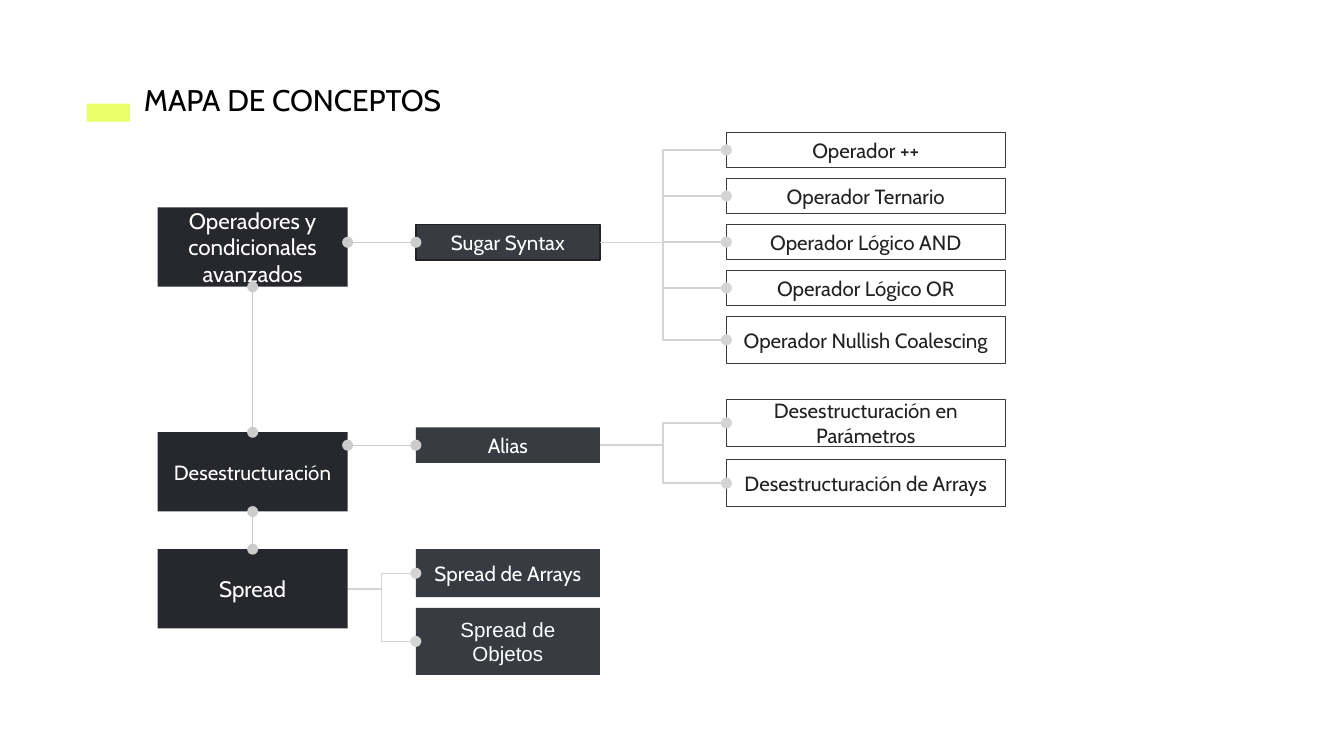
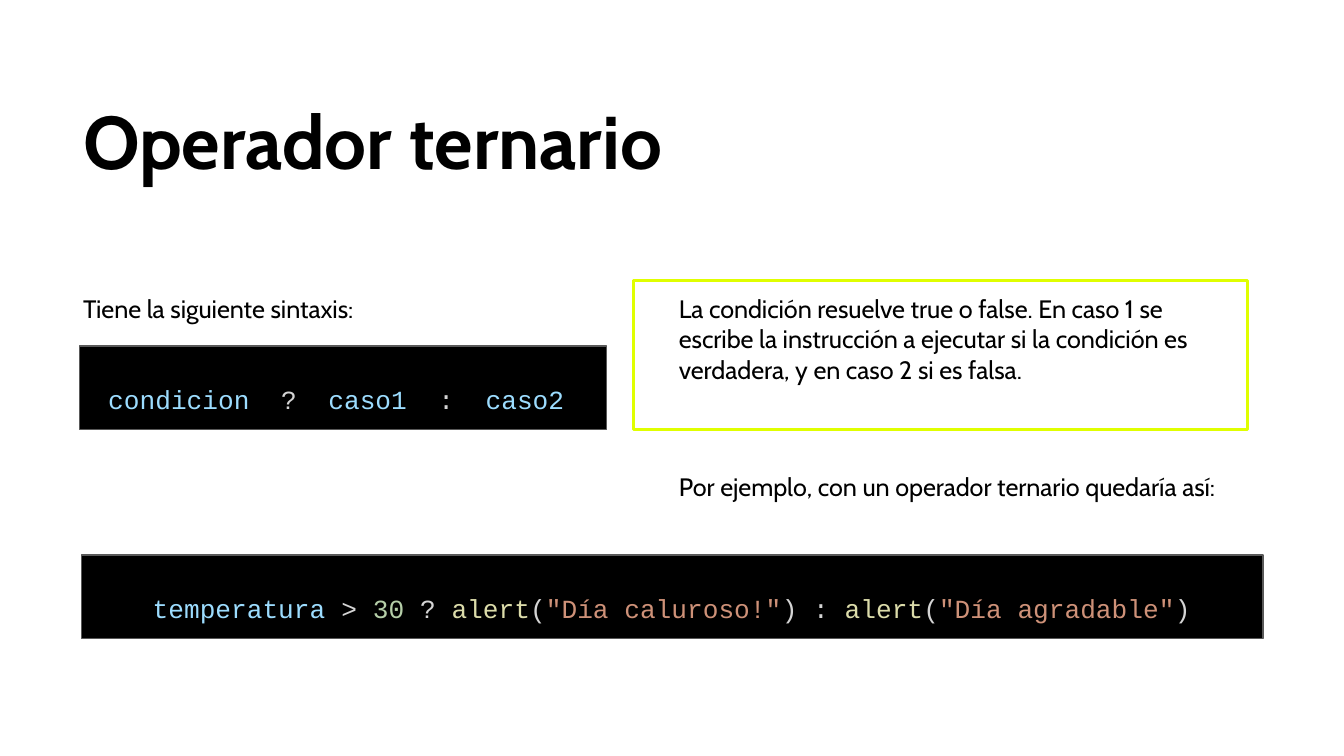
from lxml import etree
from pptx import Presentation
from pptx.dml.color import RGBColor
from pptx.enum import shapes, text
from pptx.oxml import ns
from pptx.util import Cm, Pt

BLACK = RGBColor(0x00, 0x00, 0x00)
WHITE = RGBColor(0xFF, 0xFF, 0xFF)
CHARCOAL = RGBColor(0x27, 0x28, 0x2D)
SLATE = RGBColor(0x39, 0x3B, 0x43)
INK = RGBColor(0x22, 0x22, 0x22)
LINK_GREY = RGBColor(0xCC, 0xCC, 0xCC)
BRANCH_GREY = RGBColor(0xD4, 0xD4, 0xD4)
FRAME_GREY = RGBColor(0x59, 0x59, 0x59)
LIME = RGBColor(0xEA, 0xFF, 0x6A)
NEON = RGBColor(0xE0, 0xFF, 0x00)

CODE_NAME = RGBColor(0x9C, 0xDC, 0xFE)
CODE_PLAIN = RGBColor(0xD4, 0xD4, 0xD4)
CODE_NUMBER = RGBColor(0xB5, 0xCE, 0xA8)
CODE_CALL = RGBColor(0xDC, 0xDC, 0xAA)
CODE_STRING = RGBColor(0xCE, 0x91, 0x78)

BODY_FONT = "Cabin"
CODE_FONT = "Courier New"
TOP, LEFT, BOTTOM, RIGHT = range(4)


def write(frame, content, *, size, color=BLACK, font=BODY_FONT, bold=False,
          align=text.PP_ALIGN.LEFT, anchor=text.MSO_ANCHOR.TOP,
          line_spacing=None, space_after=None):
    """Fill a text frame; content is a string or a list of (string, colour) runs."""
    frame.word_wrap = True
    frame.vertical_anchor = anchor
    frame.margin_left = frame.margin_right = Cm(0.25)
    frame.margin_top = frame.margin_bottom = Cm(0.25)
    paragraph = frame.paragraphs[0]
    paragraph.alignment = align
    paragraph.line_spacing = line_spacing
    paragraph.space_after = space_after
    runs = [(content, color)] if isinstance(content, str) else content
    for words, run_color in runs:
        run = paragraph.add_run()
        run.text = words
        run.font.name = font
        run.font.size = Pt(size)
        run.font.bold = bold
        run.font.color.rgb = run_color


class Deck:
    def __init__(self):
        self.presentation = Presentation()
        self.presentation.slide_width = Cm(25.4)
        self.presentation.slide_height = Cm(14.29)
        self.slide = None

    def new_slide(self):
        self.slide = self.presentation.slides.add_slide(
            self.presentation.slide_layouts[6])

    def text_box(self, left, top, width, height, content, **style):
        box = self.slide.shapes.add_textbox(Cm(left), Cm(top), Cm(width), Cm(height))
        write(box.text_frame, content, **style)
        box.text_frame.auto_size = text.MSO_AUTO_SIZE.SHAPE_TO_FIT_TEXT

    def rectangle(self, left, top, width, height, fill=None, line=None, weight=0.75):
        shape = self.slide.shapes.add_shape(
            shapes.MSO_SHAPE.RECTANGLE, Cm(left), Cm(top), Cm(width), Cm(height))
        shape.shadow.inherit = False
        if fill is None:
            shape.fill.background()
        else:
            shape.fill.solid()
            shape.fill.fore_color.rgb = fill
        if line is None:
            shape.line.fill.background()
        else:
            shape.line.color.rgb = line
            shape.line.width = Pt(weight)
        return shape

    def concept(self, left, top, width, height, label, fill, line=None,
                color=WHITE, size=11, font=BODY_FONT):
        shape = self.rectangle(left, top, width, height, fill, line)
        write(shape.text_frame, label, size=size, color=color, font=font,
              align=text.PP_ALIGN.CENTER, anchor=text.MSO_ANCHOR.MIDDLE)
        return shape

    def connector(self, kind, start, end, color, ends):
        """Draw a connector with oval tips at the named ends (headEnd, tailEnd)."""
        connector = self.slide.shapes.add_connector(kind, *start, *end)
        connector.line.color.rgb = color
        connector.line.width = Pt(0.75)
        for name in ends:
            etree.SubElement(connector.line._get_or_add_ln(), ns.qn(f"a:{name}"),
                             type="oval")
        etree.SubElement(connector._element.spPr, ns.qn("a:effectLst"))
        return connector

    def link(self, start, end):
        return self.connector(shapes.MSO_CONNECTOR.STRAIGHT, start, end, LINK_GREY,
                              ("headEnd", "tailEnd"))

    def link_down(self, upper, lower):
        center = upper.left + upper.width // 2
        connector = self.link((center, upper.top + upper.height), (center, lower.top))
        connector.begin_connect(upper, BOTTOM)
        connector.end_connect(lower, TOP)

    def link_across(self, parent, child):
        """Run level with the child, wherever that meets the parent's side."""
        middle = child.top + child.height // 2
        connector = self.link((parent.left + parent.width, middle), (child.left, middle))
        connector.end_connect(child, LEFT)

    def branch(self, parent, children):
        for child in children:
            connector = self.connector(
                shapes.MSO_CONNECTOR.ELBOW,
                (child.left, child.top + child.height // 2),
                (parent.left + parent.width, parent.top + parent.height // 2),
                BRANCH_GREY, ("headEnd",))
            connector.begin_connect(child, LEFT)
            connector.end_connect(parent, RIGHT)

    def code(self, panel, box, runs, **style):
        self.rectangle(*panel, BLACK, FRAME_GREY)
        self.text_box(*box, runs, size=14, font=CODE_FONT, line_spacing=1.36, **style)


def concept_map(deck):
    deck.new_slide()
    deck.rectangle(1.64, 1.96, 0.82, 0.34, LIME)
    deck.text_box(2.47, 1.3, 6.83, 1.19, "MAPA DE CONCEPTOS", size=16)

    def topic(top, label, size=12):
        return deck.concept(2.98, top, 3.59, 1.5, label, CHARCOAL, size=size)

    def subtopic(top, height, label, **style):
        return deck.concept(7.86, top, 3.48, height, label, SLATE, **style)

    def detail(top, height, label):
        return deck.concept(13.73, top, 5.27, height, label, WHITE, SLATE, INK)

    operators = topic(3.92, "Operadores y condicionales avanzados")
    destructuring = topic(8.17, "Desestructuración", size=11)
    spread = topic(10.38, "Spread")
    deck.link_down(destructuring, spread)
    deck.link_down(operators, destructuring)

    sugar = subtopic(4.24, 0.68, "Sugar Syntax", line=INK)
    alias = subtopic(8.08, 0.67, "Alias")
    spreads = [
        subtopic(10.38, 0.91, "Spread de Arrays"),
        subtopic(11.49, 1.27, "Spread de Objetos", font="Arial"),
    ]
    names = ("++", "Ternario", "Lógico AND", "Lógico OR", "Nullish Coalescing")
    operator_details = [
        detail(2.5 + 0.87 * row, 0.89 if name == names[-1] else 0.67, f"Operador {name}")
        for row, name in enumerate(names)
    ]
    alias_details = [
        detail(7.55 + 1.14 * row, 0.89, f"Desestructuración {name}")
        for row, name in enumerate(("en Parámetros", "de Arrays"))
    ]

    deck.link_across(operators, sugar)
    deck.link_across(destructuring, alias)
    deck.branch(sugar, operator_details)
    deck.branch(alias, alias_details)
    deck.branch(spread, spreads)


def ternary_operator(deck):
    deck.new_slide()
    deck.text_box(1.32, 1.73, 22.6, 2.06, "Operador ternario", size=40, bold=True,
                  line_spacing=0.9)
    deck.text_box(1.32, 5.3, 10.65, 1.09, "Tiene la siguiente sintaxis:", size=13.5)
    deck.text_box(12.58, 5.3, 10.65, 2.82,
                  "La condición resuelve true o false. En caso 1 se escribe la "
                  "instrucción a ejecutar si la condición es verdadera, y en caso 2 "
                  "si es falsa.", size=13.5)
    deck.rectangle(11.97, 5.3, 11.61, 2.82, line=NEON, weight=1.5)
    deck.code((1.5, 6.54, 9.96, 1.58), (1.5, 6.78, 9.88, 1.12), [
        (" condicion", CODE_NAME), ("  ?  ", CODE_PLAIN), ("caso1", CODE_NAME),
        ("  :  ", CODE_PLAIN), ("caso2", CODE_NAME),
    ], space_after=Pt(11))

    deck.text_box(12.58, 8.66, 11, 2.26,
                  "Por ejemplo, con un operador ternario quedaría así:", size=13.5)
    deck.code((1.54, 10.49, 22.33, 1.58), (2.13, 10.73, 21.13, 1.12), [
        ("temperatura", CODE_NAME), (" > ", CODE_PLAIN), ("30", CODE_NUMBER),
        (" ? ", CODE_PLAIN), ("alert", CODE_CALL), ("(", CODE_PLAIN),
        ('"Día caluroso!"', CODE_STRING), (") : ", CODE_PLAIN),
        ("alert", CODE_CALL), ("(", CODE_PLAIN),
        ('"Día agradable"', CODE_STRING), (")", CODE_PLAIN),
    ], align=text.PP_ALIGN.CENTER)


def main():
    deck = Deck()
    concept_map(deck)
    ternary_operator(deck)
    deck.presentation.save("out.pptx")


if __name__ == "__main__":
    main()
